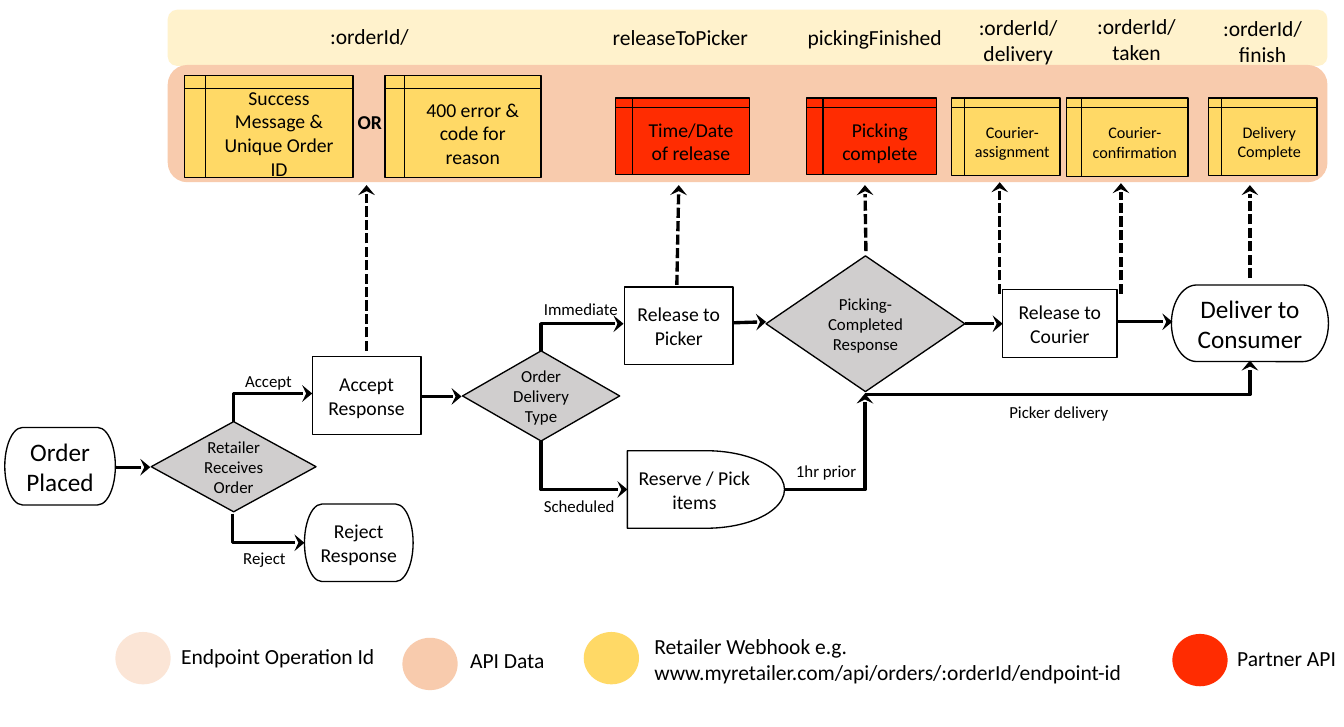
from dataclasses import dataclass
from typing import Optional

from pptx import Presentation
from pptx.dml.color import RGBColor
from pptx.enum.dml import MSO_LINE
from pptx.enum.shapes import MSO_CONNECTOR, MSO_SHAPE
from pptx.enum.text import MSO_ANCHOR, MSO_AUTO_SIZE, PP_ALIGN
from pptx.oxml.ns import qn
from pptx.util import Inches, Pt
from lxml import etree

TERMINATOR = MSO_SHAPE.FLOWCHART_TERMINATOR
DECISION = MSO_SHAPE.FLOWCHART_DECISION
PROCESS = MSO_SHAPE.FLOWCHART_PROCESS
DELAY = MSO_SHAPE.FLOWCHART_DELAY
STORAGE = MSO_SHAPE.FLOWCHART_INTERNAL_STORAGE
BAND = MSO_SHAPE.ROUNDED_RECTANGLE
DOT = MSO_SHAPE.OVAL
STRAIGHT, ELBOW = MSO_CONNECTOR.STRAIGHT, MSO_CONNECTOR.ELBOW
DASHED = MSO_LINE.SQUARE_DOT
LEFT, CENTER = PP_ALIGN.LEFT, PP_ALIGN.CENTER
MIDDLE = MSO_ANCHOR.MIDDLE
GROW = MSO_AUTO_SIZE.SHAPE_TO_FIT_TEXT

FONT = "Calibri"
COLORS = {
    "ink": "000000",
    "step": "FFFFFF",
    "decision": "D0CECE",
    "endpoint": "FFF2CC",
    "operation": "FBE5D6",
    "data": "F8CBAD",
    "webhook": "FFD966",
    "api": "FF2C01",
}
SLIDE_WIDTH, SLIDE_HEIGHT = Inches(13.86), Inches(7.5)
COLUMN, ROW = SLIDE_WIDTH / 138.6, SLIDE_HEIGHT / 75
LARGE, HEADING, BODY, SMALL, TINY = 18.7, 16, 14.6, 12.5, 12
VERTICAL_FIRST, HORIZONTAL_FIRST = 0, 100000
DATA_ROW, ARROW_END_ROW = 10.1, 19.1


@dataclass
class Block:
    kind: MSO_SHAPE
    left: float
    top: float
    width: float
    height: float
    color: str
    text: str = ""
    size: float = BODY


@dataclass
class Label:
    left: float
    top: float
    width: float
    height: float
    text: str
    size: float = SMALL
    align: PP_ALIGN = LEFT
    bold: bool = False


@dataclass
class Arrow:
    start_column: float
    start_row: float
    end_column: float
    end_row: float
    bend: Optional[int] = None
    dashed: bool = False


BLOCKS = [
    Block(BAND, 17.3, 1, 119.6, 5.8, "endpoint"),
    Block(BAND, 17.3, 6.7, 119.6, 12.1, "data"),
    Block(STORAGE, 19, 7.8, 17.4, 10.5, "webhook", "Success Message & Unique Order ID"),
    Block(STORAGE, 39.7, 7.8, 16.1, 10.5, "webhook", "400 error & code for reason"),
    Block(STORAGE, 63.5, DATA_ROW, 13.8, 7.9, "api", "Time/Date of release"),
    Block(STORAGE, 83.2, DATA_ROW, 13.4, 7.9, "api", "Picking complete"),
    Block(STORAGE, 98.1, DATA_ROW, 11.2, 8, "webhook", "Courier-assignment", TINY),
    Block(STORAGE, 110, DATA_ROW, 12.5, 8.1, "webhook", "Courier-confirmation", TINY),
    Block(STORAGE, 124.6, DATA_ROW, 11.2, 8, "webhook", "Delivery\nComplete", TINY),
    Block(TERMINATOR, 0.5, 44.1, 11.4, 8, "step", "Order Placed", LARGE),
    Block(DECISION, 15.6, 43.5, 17, 9.3, "decision", "Retailer Receives Order", SMALL),
    Block(TERMINATOR, 31.4, 52, 11.2, 8, "step", "Reject Response"),
    Block(PROCESS, 32.2, 36.8, 11.2, 8, "step", "Accept Response"),
    Block(DECISION, 47.7, 36.2, 16.2, 9.3, "decision", "Order Delivery Type", SMALL),
    Block(PROCESS, 64.4, 29.6, 11.2, 8, "step", "Release to Picker"),
    Block(DELAY, 64.7, 46.5, 16.2, 8, "step", "Reserve / Pick items"),
    Block(DECISION, 79, 26.4, 20.5, 14, "decision", "Picking- Completed Response", SMALL),
    Block(PROCESS, 103.4, 29.9, 11.8, 7, "step", "Release to Courier"),
    Block(TERMINATOR, 120.8, 29.4, 16.2, 7.9, "step", "Deliver to Consumer", LARGE),
    Block(DOT, 11.9, 65.2, 5.7, 5.4, "operation"),
    Block(DOT, 41.5, 65.8, 5.7, 5.4, "data"),
    Block(DOT, 60.2, 65.2, 5.7, 5.4, "webhook"),
    Block(DOT, 120.9, 65.4, 5.7, 5.4, "api"),
]

LABELS = [
    Label(30.9, 1.9, 14.4, 3.7, ":orderId/", HEADING, CENTER),
    Label(62.2, 2, 16, 3.7, "releaseToPicker", HEADING),
    Label(82.3, 2, 15.9, 3.7, "pickingFinished", HEADING),
    Label(97.5, 1, 15, 6.4, ":orderId/\ndelivery", HEADING, CENTER),
    Label(109.7, 0.9, 15, 6.4, ":orderId/\ntaken", HEADING, CENTER),
    Label(122.2, 1.1, 16, 6.4, ":orderId/\nfinish", HEADING, CENTER),
    Label(35.9, 10.8, 5.8, 3.6, "OR", BODY, bold=True),
    Label(24.3, 37.7, 8.5, 3.2, "Accept"),
    Label(24.1, 56, 6.8, 3.2, "Reject"),
    Label(55.1, 30.3, 9.9, 3.1, "Immediate"),
    Label(55.1, 50.6, 9.7, 3.2, "Scheduled"),
    Label(81.1, 47, 9.6, 3.2, "1hr prior"),
    Label(103.1, 40.9, 13.8, 3.2, "Picker delivery"),
    Label(17.7, 65.8, 25.3, 3.7, "Endpoint Operation Id", HEADING),
    Label(47.5, 66.3, 14.4, 3.7, "API Data", HEADING),
    Label(66.5, 64.8, 55.2, 6.4,
          "Retailer Webhook e.g.\nwww.myretailer.com/api/orders/:orderId/endpoint-id", HEADING),
    Label(126.6, 66, 14.4, 3.7, "Partner API", HEADING),
]

ARROWS = [
    Arrow(11.9, 48.2, 15.5, 48.2),
    Arrow(24.1, 43.5, 32.2, 40.6, VERTICAL_FIRST),
    Arrow(24, 53, 31.4, 56, VERTICAL_FIRST),
    Arrow(43.4, 40.9, 47.6, 40.9),
    Arrow(55.8, 36.2, 64.3, 33.4, VERTICAL_FIRST),
    Arrow(55.8, 45.5, 64.7, 50.5, VERTICAL_FIRST),
    Arrow(75.6, 33.3, 79, 33.2),
    Arrow(80.9, 50.5, 89.2, 40.6, HORIZONTAL_FIRST),
    Arrow(89.2, 40.7, 128.9, 37.2, HORIZONTAL_FIRST),
    Arrow(99.5, 33.4, 103.4, 33.4),
    Arrow(115.2, 33.2, 120.9, 33.2),
    Arrow(37.8, 36.2, 37.8, ARROW_END_ROW, dashed=True),
    Arrow(69.8, 29.4, 70, ARROW_END_ROW, dashed=True),
    Arrow(89.3, 25.9, 89.2, ARROW_END_ROW, dashed=True),
    Arrow(103.1, 30.3, 103.1, 18.8, dashed=True),
    Arrow(115.6, 30.3, 115.6, 18.9, dashed=True),
    Arrow(128.9, 28.7, 128.9, ARROW_END_ROW, dashed=True),
]


def color(name: str) -> RGBColor:
    return RGBColor.from_string(COLORS[name])


def place(item) -> tuple:
    return (round(item.left * COLUMN), round(item.top * ROW),
            round(item.width * COLUMN), round(item.height * ROW))


def write(frame, text: str, size: float, align: PP_ALIGN, bold: bool = False) -> None:
    frame.word_wrap = True
    frame.text = text
    for paragraph in frame.paragraphs:
        paragraph.alignment = align
        for run in paragraph.runs:
            run.font.name = FONT
            run.font.size = Pt(size)
            run.font.bold = bold
            run.font.color.rgb = color("ink")


def draw_block(slide, block: Block) -> None:
    shape = slide.shapes.add_shape(block.kind, *place(block))
    shape.shadow.inherit = False
    shape.fill.solid()
    shape.fill.fore_color.rgb = color(block.color)
    if not block.text:
        shape.line.fill.background()
        return
    shape.line.color.rgb = color("ink")
    shape.line.width = Pt(1)
    shape.text_frame.vertical_anchor = MIDDLE
    write(shape.text_frame, block.text, block.size, CENTER)


def draw_label(slide, label: Label) -> None:
    frame = slide.shapes.add_textbox(*place(label)).text_frame
    write(frame, label.text, label.size, label.align, label.bold)
    frame.auto_size = GROW


def draw_arrow(slide, arrow: Arrow) -> None:
    connector = slide.shapes.add_connector(
        STRAIGHT if arrow.bend is None else ELBOW,
        round(arrow.start_column * COLUMN), round(arrow.start_row * ROW),
        round(arrow.end_column * COLUMN), round(arrow.end_row * ROW))
    connector.line.color.rgb = color("ink")
    connector.line.width = Pt(2.5)
    if arrow.dashed:
        connector.line.dash_style = DASHED
    properties = connector.element.spPr
    etree.SubElement(properties.find(qn("a:ln")), qn("a:tailEnd"), type="stealth", w="lg")
    etree.SubElement(properties, qn("a:effectLst"))
    if arrow.bend is not None:
        adjustments = properties.find(qn("a:prstGeom")).find(qn("a:avLst"))
        etree.SubElement(adjustments, qn("a:gd"), name="adj1", fmla=f"val {arrow.bend}")


def main() -> None:
    presentation = Presentation()
    presentation.slide_width, presentation.slide_height = SLIDE_WIDTH, SLIDE_HEIGHT
    slide = presentation.slides.add_slide(presentation.slide_layouts[6])
    for block in BLOCKS:
        draw_block(slide, block)
    for label in LABELS:
        draw_label(slide, label)
    for arrow in ARROWS:
        draw_arrow(slide, arrow)
    presentation.save("out.pptx")


if __name__ == "__main__":
    main()
